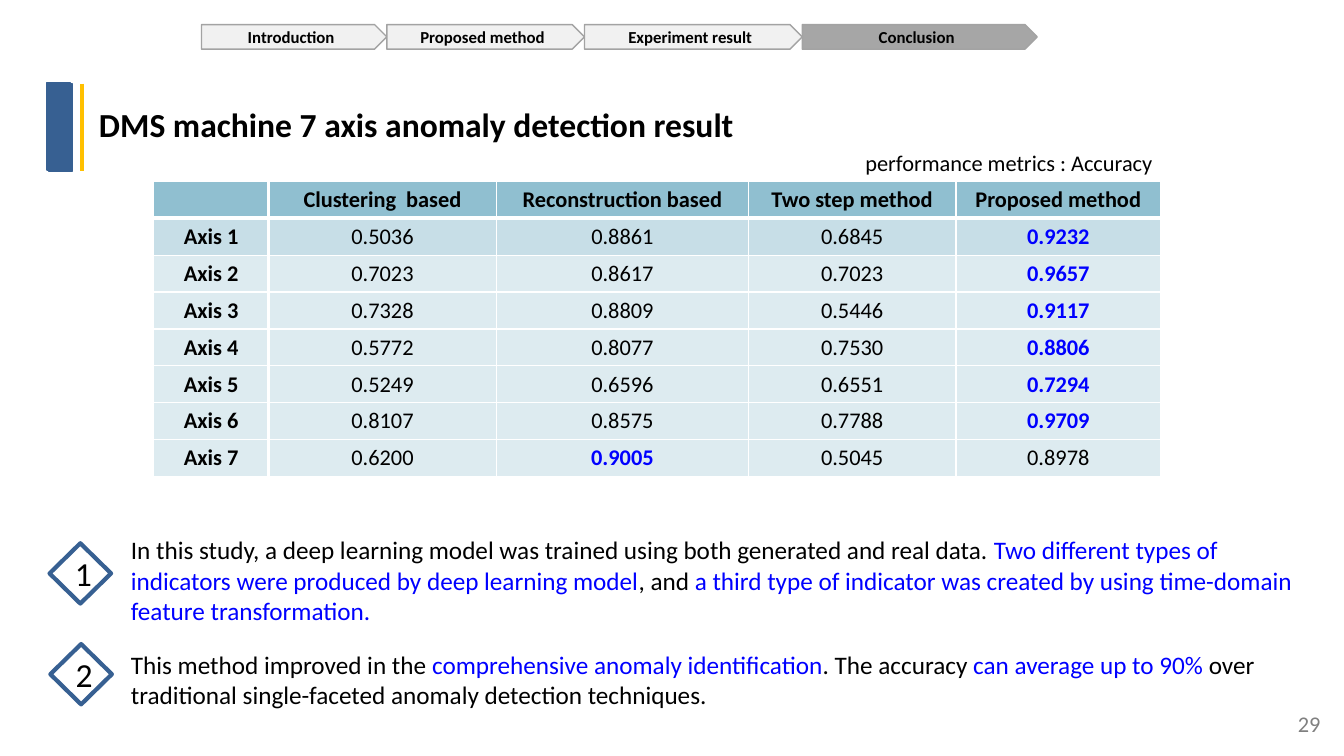
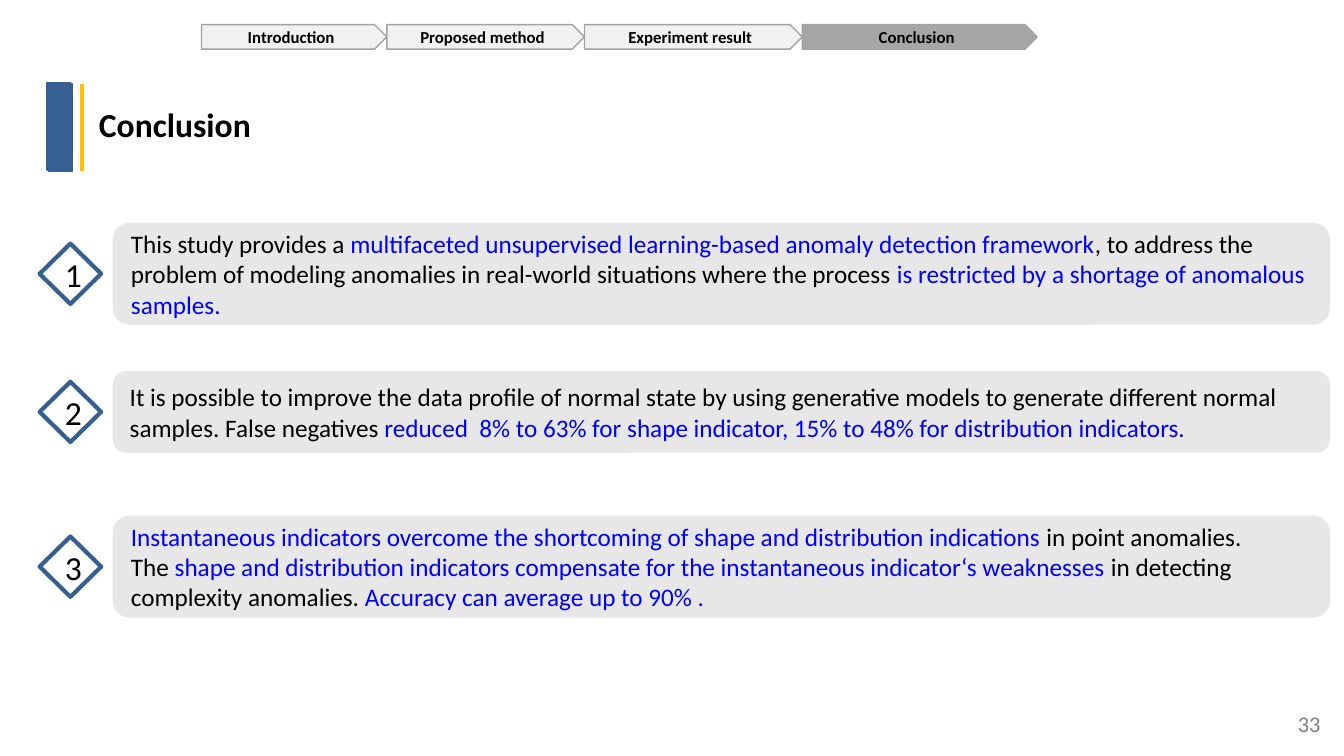
from dataclasses import dataclass
from itertools import accumulate

from lxml import etree
from pptx import Presentation
from pptx.dml.color import RGBColor as RGB
from pptx.enum.shapes import MSO_CONNECTOR as CONN, MSO_SHAPE as SHAPE
from pptx.enum.text import MSO_ANCHOR as ANCHOR, MSO_AUTO_SIZE as FIT, PP_ALIGN as ALIGN
from pptx.oxml.ns import qn
from pptx.util import Cm, Pt


@dataclass(frozen=True)
class Theme:
    """Colours, font and type sizes of the deck."""
    font: str = "Calibri"
    ink: str = "000000"
    accent: str = "0000FF"
    blue: str = "376092"
    gold: str = "FFC000"
    white: str = "FFFFFF"
    page: str = "808080"
    table: str = "90BFD0"
    panel: str = "DDDDDD"
    step: str = "F1F1F1"
    current: str = "A6A6A6"
    step_line: str = "A3A3A3"
    title: int = 24
    body: int = 18
    small: int = 16
    nav: int = 12


T = Theme()
STEPS = {"Introduction": 4.67, "Proposed method": 4.98,
         "Experiment result": 5.49, "Conclusion": 5.92}
NAV_LEFT = 5.08
DIAMOND_W, DIAMOND_H = 1.55, 1.52
PANEL_LEFT, PANEL_W = 2.84, 30.68

COLUMNS = {"": 2.9, "Clustering  based": 5.74, "Reconstruction based": 6.35,
           "Two step method": 5.23, "Proposed method": 5.16}
SCORES = [
    ("0.5036", "0.8861", "0.6845", "0.9232"),
    ("0.7023", "0.8617", "0.7023", "0.9657"),
    ("0.7328", "0.8809", "0.5446", "0.9117"),
    ("0.5772", "0.8077", "0.7530", "0.8806"),
    ("0.5249", "0.6596", "0.6551", "0.7294"),
    ("0.8107", "0.8575", "0.7788", "0.9709"),
    ("0.6200", "0.9005", "0.5045", "0.8978"),
]

RESULT_NOTES = [
    (1.25, 14.45, 3.05, 14.62, 30.48,
     "In this study, a deep learning model was trained using both generated and real data. "
     "*Two different types of indicators were produced by deep learning model*, and "
     "*a third type of indicator was created by using time-domain feature transformation.*"),
    (1.27, 16.99, 3.05, 17.13, 29.9,
     "This method improved in the *comprehensive anomaly identification*. The accuracy "
     "*can average up to 90% *over traditional single-faceted anomaly detection techniques."),
]
CONCLUSION_NOTES = [
    (1, 6.9, 3.05, 6.9, 30.48,
     "This study provides a *multifaceted unsupervised learning-based anomaly detection "
     "framework*, to address the problem of modeling anomalies in real-world situations where "
     "the process *is restricted by a shortage of anomalous samples.*"),
    (1, 10.38, 3.02, 10.38, 29.77,
     "It is possible to improve the data profile of normal state by using generative models to "
     "generate different normal samples. False negatives *reduced  8% to 63% for shape "
     "indicator, 15% to 48% for distribution indicators.*"),
    (1, 14.28, 3.05, 14.28, 29.31,
     "*Instantaneous indicators overcome the shortcoming of shape and distribution indications "
     "*in point anomalies. The *shape and distribution indicators compensate for the "
     "instantaneous indicator‘s weaknesses* in detecting complexity anomalies. "
     "*Accuracy can average up to 90% .*"),
]
PANEL_HEIGHTS = [2.57, 2.06, 2.57]


def assign(obj, values):
    """Set each attribute named in a dict."""
    for name, value in values.items():
        setattr(obj, name, value)


def box(left, top, width, height):
    """Convert a frame in centimetres."""
    return Cm(left), Cm(top), Cm(width), Cm(height)


def paint(fill, color, alpha=None):
    """Give a solid fill, optionally with an opacity in percent."""
    fill.solid()
    fill.fore_color.rgb = RGB.from_string(color)
    if alpha:
        clr = fill._xPr.find(qn("a:solidFill"))[0]
        etree.SubElement(clr, qn("a:alpha"), val=str(alpha * 1000))


def write(tf, text, size, color=T.ink, bold=False, align=ALIGN.LEFT):
    """Write one paragraph, with the parts between asterisks in the accent colour."""
    p = tf.paragraphs[0]
    p.alignment = align
    for i, part in enumerate(text.split("*")):
        if part:
            r = p.add_run()
            r.text = part
            assign(r.font, {"name": T.font, "size": Pt(size), "bold": bold})
            r.font.color.rgb = RGB.from_string(T.accent if i % 2 else color)
    return p


def add_text(s, frame, text, size, color=T.ink, anchor=ANCHOR.TOP):
    """Add a wrapping text box."""
    tf = s.shapes.add_textbox(*box(*frame)).text_frame
    assign(tf, {"word_wrap": True, "vertical_anchor": anchor})
    write(tf, text, size, color)


def add_shape(s, kind, frame, fill=None, line=None, weight=1, alpha=None):
    """Add a flat preset shape."""
    sp = s.shapes.add_shape(kind, *box(*frame))
    sp.shadow.inherit = False
    if fill:
        paint(sp.fill, fill, alpha)
    else:
        sp.fill.background()
    if line:
        sp.line.color.rgb = RGB.from_string(line)
        sp.line.width = Pt(weight)
    else:
        sp.line.fill.background()
    return sp


def add_nav(s, current):
    """Add the row of section arrows."""
    lefts = accumulate(STEPS.values(), initial=NAV_LEFT)
    for left, (name, width) in zip(lefts, STEPS.items()):
        fill = T.current if name == current else T.step
        sp = add_shape(s, SHAPE.PENTAGON, (left, 0.62, width, 0.62), fill, T.step_line)
        write(sp.text_frame, name, T.nav, bold=True, align=ALIGN.CENTER)


def add_title(s, text):
    """Place the title beside its blue and gold bars."""
    sp = s.shapes.title
    assign(sp, dict(zip(("left", "top", "width", "height"), box(2.24, 1.35, 18.08, 3.66))))
    assign(sp.text_frame, {"auto_size": FIT.NONE, "word_wrap": True,
                           "vertical_anchor": ANCHOR.MIDDLE})
    p = write(sp.text_frame, text, T.title, bold=True)
    assign(p, {"line_spacing": 0.9, "space_after": Pt(6)})
    for left, top in ((1.19, 2.08), (1.24, 2.11)):
        add_shape(s, SHAPE.RECTANGLE, (left, top, 0.58, 2.21), T.blue, T.blue)
    line = s.shapes.add_connector(CONN.STRAIGHT, *box(2.06, 2.11, 2.06, 4.32))
    line.line.color.rgb = RGB.from_string(T.gold)
    line.line.width = Pt(3)
    etree.SubElement(line._element.spPr, qn("a:effectLst"))


def add_slide(prs, title, number):
    """Start a slide with the shared title, arrows and page number."""
    s = prs.slides.add_slide(prs.slide_layouts[5])
    add_title(s, title)
    add_nav(s, "Conclusion")
    add_text(s, (32.46, 17.78, 1.4, 0.97), number, T.small, T.page)
    return s


def add_notes(s, notes):
    """Add numbered diamonds, each with its passage."""
    for number, (left, middle, text_left, text_middle, width, text) in enumerate(notes, 1):
        frame = (left, middle - DIAMOND_H / 2, DIAMOND_W, DIAMOND_H)
        sp = add_shape(s, SHAPE.FLOWCHART_DECISION, frame, line=T.blue, weight=3)
        write(sp.text_frame, str(number), T.title, align=ALIGN.CENTER)
        add_text(s, (text_left, text_middle - 1.28, width, 2.56), text, T.body,
                 anchor=ANCHOR.MIDDLE)


def add_borders(cell, widths):
    """Draw white cell edges of the given widths in points."""
    tc_pr = cell._tc.get_or_add_tcPr()
    for side, width in widths.items():
        ln = etree.SubElement(tc_pr, qn(f"a:ln{side}"), w=str(Pt(width)))
        fill = etree.SubElement(ln, qn("a:solidFill"))
        etree.SubElement(fill, qn("a:srgbClr"), val=T.white)


def add_score_table(s, left, top, row_height):
    """Add the accuracy table, with the best score of each row in accent."""
    rows = [tuple(COLUMNS)]
    for axis, scores in enumerate(SCORES, 1):
        best = max(scores)
        rows.append((f"Axis {axis}", *(f"*{v}*" if v == best else v for v in scores)))
    frame = box(left, top, sum(COLUMNS.values()), row_height * len(rows))
    table = s.shapes.add_table(len(rows), len(COLUMNS), *frame).table
    for col, width in zip(table.columns, COLUMNS.values()):
        col.width = Cm(width)
    for i, row in enumerate(rows):
        table.rows[i].height = Cm(row_height)
        for j, text in enumerate(row):
            cell = table.cell(i, j)
            assign(cell, {"vertical_anchor": ANCHOR.MIDDLE, "margin_top": 0,
                          "margin_bottom": 0})
            add_borders(cell, {"L": 2.25 if j == 1 else 1, "R": 2.25 if j == 0 else 1,
                               "T": 3 if i == 1 else 1, "B": 3 if i == 0 else 1})
            paint(cell.fill, T.table, {0: None, 1: 50}.get(i, 30))
            bold = i == 0 or j == 0 or "*" in text
            write(cell.text_frame, text, T.small, bold=bold, align=ALIGN.CENTER)


def build_result(prs):
    """Build the slide of detection results."""
    s = add_slide(prs, "DMS machine 7 axis anomaly detection result", "29")
    add_score_table(s, 3.87, 4.57, 0.93)
    add_text(s, (21.56, 3.63, 8, 0.94), "performance metrics : Accuracy", T.small)
    add_notes(s, RESULT_NOTES)


def build_conclusion(prs):
    """Build the slide of conclusions."""
    s = add_slide(prs, "Conclusion", "33")
    for note, height in zip(CONCLUSION_NOTES, PANEL_HEIGHTS):
        frame = (PANEL_LEFT, note[3] - height / 2, PANEL_W, height)
        add_shape(s, SHAPE.ROUNDED_RECTANGLE, frame, T.panel, alpha=70)
    add_notes(s, CONCLUSION_NOTES)


def main():
    """Build and save the deck."""
    prs = Presentation()
    assign(prs, {"slide_width": Cm(33.87), "slide_height": Cm(19.05)})
    build_result(prs)
    build_conclusion(prs)
    prs.save("out.pptx")


if __name__ == "__main__":
    main()
